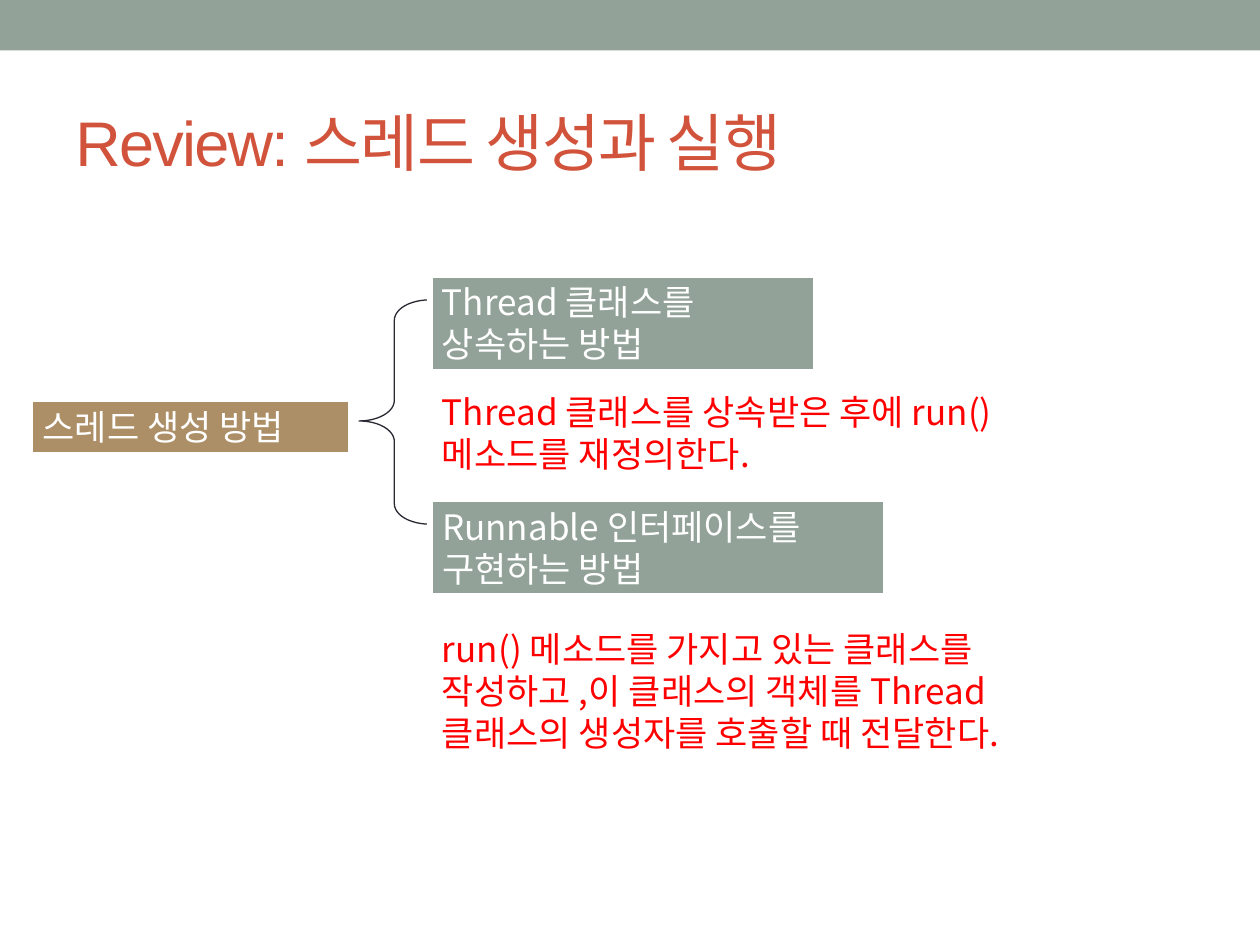
from lxml import etree
from pptx import Presentation
from pptx.dml.color import RGBColor
from pptx.enum.shapes import MSO_SHAPE
from pptx.enum.text import MSO_ANCHOR, PP_ALIGN
from pptx.oxml.ns import qn
from pptx.util import Inches, Pt

RECTANGLE = MSO_SHAPE.RECTANGLE
LEFT_BRACE = MSO_SHAPE.LEFT_BRACE
LEFT = PP_ALIGN.LEFT
TOP = MSO_ANCHOR.TOP
MIDDLE = MSO_ANCHOR.MIDDLE

COLORS = {
    "sage": "93A299",
    "tan": "AD8F67",
    "title": "D2533C",
    "brace": "292934",
    "white": "FFFFFF",
    "red": "FF0000",
}
KOREAN_FONT = "Noto Sans CJK KR"
TITLE = "Review: 스레드 생성과 실행"
BRANCH_LEFT = 3.41
LABELS = [
    ("스레드 생성 방법", "tan", (0.24, 3.17, 2.55, 0.44)),
    ("Thread 클래스를 상속하는 방법", "sage", (BRANCH_LEFT, 2.18, 3.07, 0.77)),
    ("Runnable 인터페이스를 구현하는 방법", "sage", (BRANCH_LEFT, 3.96, 3.62, 0.77)),
]
EXPLANATIONS = [
    ("Thread 클래스를 상속받은 후에 run() 메소드를 재정의한다.", (BRANCH_LEFT, 3.05, 5, 0.77)),
    ("run() 메소드를 가지고 있는 클래스를 작성하고 ,이 클래스의 객체를 Thread "
     "클래스의 생성자를 호출할 때 전달한다.", (BRANCH_LEFT, 4.93, 5, 1.45)),
]
TITLE_STYLE = {"name": "Arial", "size": Pt(36)}
BODY_STYLE = {"name": KOREAN_FONT, "size": Pt(20)}


def color(name):
    return RGBColor.from_string(COLORS[name])


def add_box(slide, kind, box, fill=None, line=None, line_width=0.75):
    shape = slide.shapes.add_shape(kind, *map(Inches, box))
    shape.shadow.inherit = False
    if fill:
        shape.fill.solid()
        shape.fill.fore_color.rgb = color(fill)
    else:
        shape.fill.background()
    if line:
        shape.line.color.rgb = color(line)
        shape.line.width = Pt(line_width)
    else:
        shape.line.fill.background()
    return shape


def write_text(shape, text, style, color_name, anchor=TOP, line_spacing=None):
    frame = shape.text_frame
    frame.word_wrap = True
    frame.vertical_anchor = anchor
    paragraph = frame.paragraphs[0]
    paragraph.alignment = LEFT
    paragraph.line_spacing = line_spacing
    run = paragraph.add_run()
    run.text = text
    for attribute, value in style.items():
        setattr(run.font, attribute, value)
    run.font.color.rgb = color(color_name)
    properties = run.font._element
    etree.SubElement(properties, qn("a:ea")).set("typeface", KOREAN_FONT)
    return properties


def main():
    presentation = Presentation()
    presentation.slide_width = Inches(10)
    presentation.slide_height = Inches(7.5)
    slide = presentation.slides.add_slide(presentation.slide_layouts[6])

    add_box(slide, RECTANGLE, (0, 0, 10, 0.4), fill="sage")
    title = slide.shapes.add_textbox(*map(Inches, (0.5, 0.58, 9, 1.08)))
    title_properties = write_text(title, TITLE, TITLE_STYLE, "title", MIDDLE)
    title_properties.set("spc", "-100")

    brace = add_box(slide, LEFT_BRACE, (2.85, 2.38, 0.56, 1.78), line="brace")
    brace.adjustments[0] = 0.29
    brace.adjustments[1] = 0.54

    for text, fill, box in LABELS:
        label = add_box(slide, RECTANGLE, box, fill, "white", 3.5)
        write_text(label, text, BODY_STYLE, "white", line_spacing=Pt(24))
    for text, box in EXPLANATIONS:
        explanation = slide.shapes.add_textbox(*map(Inches, box))
        write_text(explanation, text, BODY_STYLE, "red", line_spacing=Pt(24))

    presentation.save("out.pptx")


if __name__ == "__main__":
    main()
